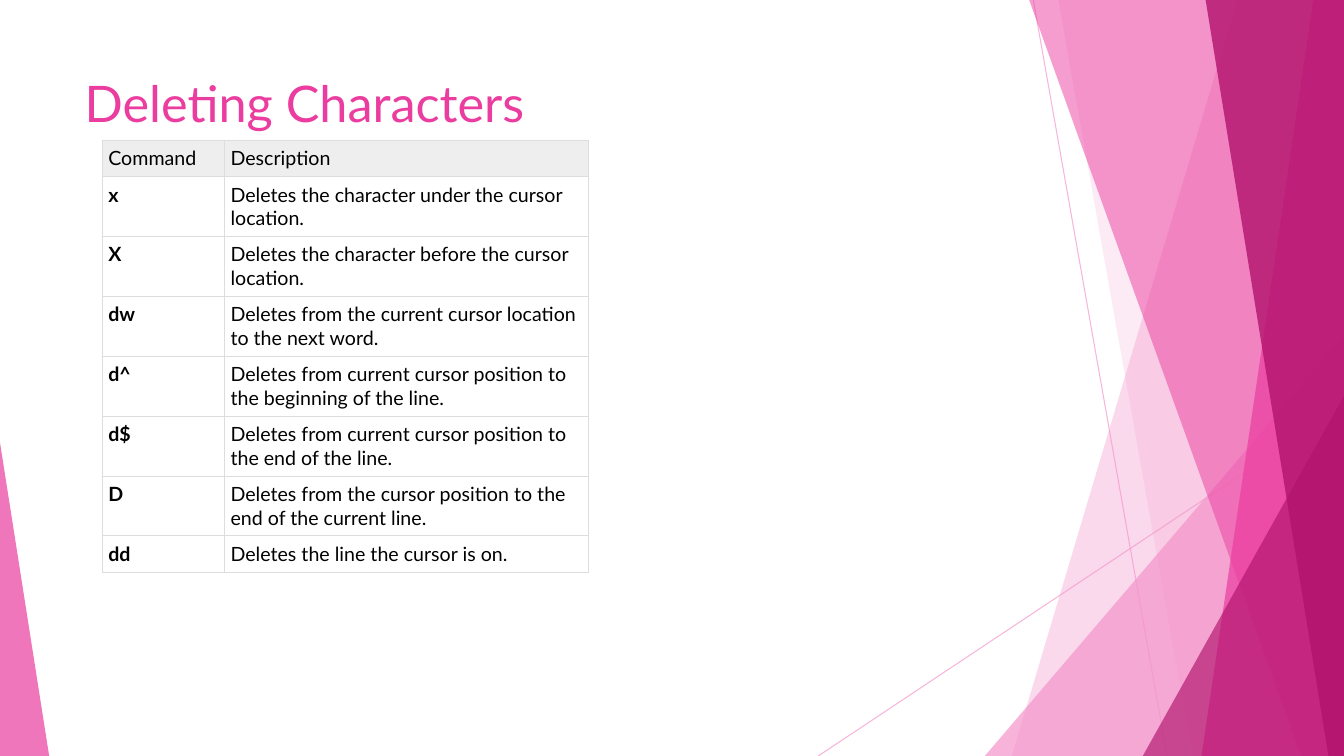
from dataclasses import dataclass

from pptx import Presentation
from pptx.dml.color import RGBColor
from pptx.enum.shapes import MSO_CONNECTOR as Connector, MSO_SHAPE as Preset
from pptx.enum.text import MSO_ANCHOR as Anchor, PP_ALIGN as Align
from pptx.oxml import parse_xml
from pptx.oxml.ns import nsdecls, qn
from pptx.oxml.xmlchemy import BaseOxmlElement as Element
from pptx.shapes.shapetree import SlideShapes
from pptx.table import _Cell as Cell
from pptx.util import Cm, Pt

LIGHT_PINK = RGBColor(0xF4, 0x96, 0xCB)
PINK = RGBColor(0xEB, 0x3D, 0x9F)
PLUM = RGBColor(0xB2, 0x13, 0x6D)
BLACK = RGBColor(0, 0, 0)
HEADER_GREY = RGBColor(0xEE, 0xEE, 0xEE)
BORDER_GREY = RGBColor(0xDD, 0xDD, 0xDD)

FONT = "Lato"
WIDTH, HEIGHT = 33.87, 19.05
PANEL_TOP = -0.02


@dataclass(frozen=True)
class Ray:
    """A thin line across the right side, in centimetres."""
    x1: float
    y1: float
    x2: float
    y2: float


@dataclass(frozen=True)
class Panel:
    """A full-height panel with a slanted left edge, up to the right edge."""
    top_x: float
    bottom_x: float
    colour: RGBColor
    opacity: int


@dataclass(frozen=True)
class Wedge:
    """A right triangle standing on the bottom edge; apex 0 left, 1 right."""
    left: float
    right: float
    top: float
    apex: int
    colour: RGBColor
    opacity: int


RAYS = [Ray(26.04, 0, 29.41, HEIGHT), Ray(WIDTH, 10.24, 20.62, HEIGHT)]
FACETS = [
    Panel(31.19, 25.5, LIGHT_PINK, 36),
    Panel(26.67, 30.05, LIGHT_PINK, 20),
    Wedge(24.82, WIDTH, 8.46, 1, LIGHT_PINK, 72),
    Panel(25.93, 32.79, PINK, 50),
    Panel(33.1, 30.28, PINK, 70),
    Panel(30.38, 33.48, PLUM, 80),
    Wedge(28.8, WIDTH, 9.98, 1, PLUM, 66),
    Wedge(0, 1.24, 11.15, 0, PINK, 70),
]
COMMANDS = [
    ("Command", "Description"),
    ("x", "Deletes the character under the cursor location."),
    ("X", "Deletes the character before the cursor location."),
    ("dw", "Deletes from the current cursor location to the next word."),
    ("d^", "Deletes from current cursor position to the beginning of the line."),
    ("d$", "Deletes from current cursor position to the end of the line."),
    ("D", "Deletes from the cursor position to the end of the current line."),
    ("dd", "Deletes the line the cursor is on."),
]
COLUMN_WIDTHS = (3.08, 9.19)
ONE_LINE, TWO_LINES = 0.91, 1.51


def apply_format(target: object, values: dict[str, object]) -> None:
    """Set each named attribute on the target."""
    for name, value in values.items():
        setattr(target, name, value)


def set_opacity(element: Element, percent: int) -> None:
    """Make the explicit colours inside an element translucent."""
    for colour in element.iter(qn("a:srgbClr")):
        colour.append(parse_xml(
            f'<a:alpha {nsdecls("a")} val="{percent * 1000}"/>'))


def draw_ray(shapes: SlideShapes, ray: Ray) -> None:
    """Draw one translucent line without a shadow."""
    line = shapes.add_connector(
        Connector.STRAIGHT, Cm(ray.x1), Cm(ray.y1), Cm(ray.x2), Cm(ray.y2))
    line.line.color.rgb = LIGHT_PINK
    line.line.width = Pt(0.75)
    set_opacity(line.element, 70)
    line.element.spPr.append(parse_xml(f'<a:effectLst {nsdecls("a")}/>'))


def draw_facet(shapes: SlideShapes, facet: Panel | Wedge) -> None:
    """Draw one translucent panel or wedge."""
    if isinstance(facet, Panel):
        builder = shapes.build_freeform(Cm(facet.top_x), Cm(PANEL_TOP))
        corners = [(WIDTH, PANEL_TOP), (WIDTH, HEIGHT), (facet.bottom_x, HEIGHT)]
        builder.add_line_segments([(Cm(x), Cm(y)) for x, y in corners])
        shape = builder.convert_to_shape()
    else:
        shape = shapes.add_shape(
            Preset.ISOSCELES_TRIANGLE, Cm(facet.left), Cm(facet.top),
            Cm(facet.right - facet.left), Cm(HEIGHT - facet.top))
        shape.adjustments[0] = facet.apex
    shape.shadow.inherit = False
    shape.line.fill.background()
    shape.fill.solid()
    shape.fill.fore_color.rgb = facet.colour
    set_opacity(shape.element, facet.opacity)


def write_title(shapes: SlideShapes, wording: str) -> None:
    """Place and format the title in front of the facets."""
    title = shapes.title
    apply_format(title, {"left": Cm(1.88), "top": Cm(1.7),
                         "width": Cm(23.88), "height": Cm(3.66)})
    title.element.getparent().append(title.element)
    title.text_frame.text = wording
    title.text_frame.vertical_anchor = Anchor.TOP
    heading = title.text_frame.paragraphs[0]
    heading.alignment = Align.LEFT
    font = heading.runs[0].font
    apply_format(font, {"name": FONT, "size": Pt(36)})
    font.color.rgb = PINK


def write_cell(cell: Cell, wording: str, header: bool, bold: bool) -> None:
    """Fill in one cell with its text, margins, borders and fill."""
    cell.text = wording
    sides = ("left", "right", "top", "bottom")
    apply_format(cell, {f"margin_{side}": Cm(0.16) for side in sides})
    font = cell.text_frame.paragraphs[0].runs[0].font
    apply_format(font, {"name": FONT, "size": Pt(14), "bold": bold})
    font.color.rgb = BLACK
    properties = cell._tc.get_or_add_tcPr()
    for side in "LRTB":
        properties.append(parse_xml(
            f'<a:ln{side} {nsdecls("a")} w="{Pt(0.75)}"><a:solidFill>'
            f'<a:srgbClr val="{BORDER_GREY}"/></a:solidFill></a:ln{side}>'))
    if header:
        cell.fill.solid()
        cell.fill.fore_color.rgb = HEADER_GREY
    else:
        cell.fill.background()


def draw_commands(shapes: SlideShapes) -> None:
    """Draw the table of commands and their descriptions."""
    last = len(COMMANDS) - 1
    heights = [ONE_LINE if i in (0, last) else TWO_LINES for i in range(last + 1)]
    table = shapes.add_table(
        len(COMMANDS), len(COLUMN_WIDTHS), Cm(2.57), Cm(3.53),
        Cm(sum(COLUMN_WIDTHS)), Cm(sum(heights))).table
    apply_format(table, {"first_row": False, "horz_banding": False})
    for column, width in zip(table.columns, COLUMN_WIDTHS):
        column.width = Cm(width)
    for i, (row, entry) in enumerate(zip(table.rows, COMMANDS)):
        row.height = Cm(heights[i])
        for j, wording in enumerate(entry):
            write_cell(table.cell(i, j), wording, i == 0, i > 0 and j == 0)


deck = Presentation()
apply_format(deck, {"slide_width": Cm(WIDTH), "slide_height": Cm(HEIGHT)})
slide = deck.slides.add_slide(deck.slide_layouts.get_by_name("Title Only"))
for ray in RAYS:
    draw_ray(slide.shapes, ray)
for facet in FACETS:
    draw_facet(slide.shapes, facet)
write_title(slide.shapes, "Deleting Characters")
draw_commands(slide.shapes)
deck.save("out.pptx")
